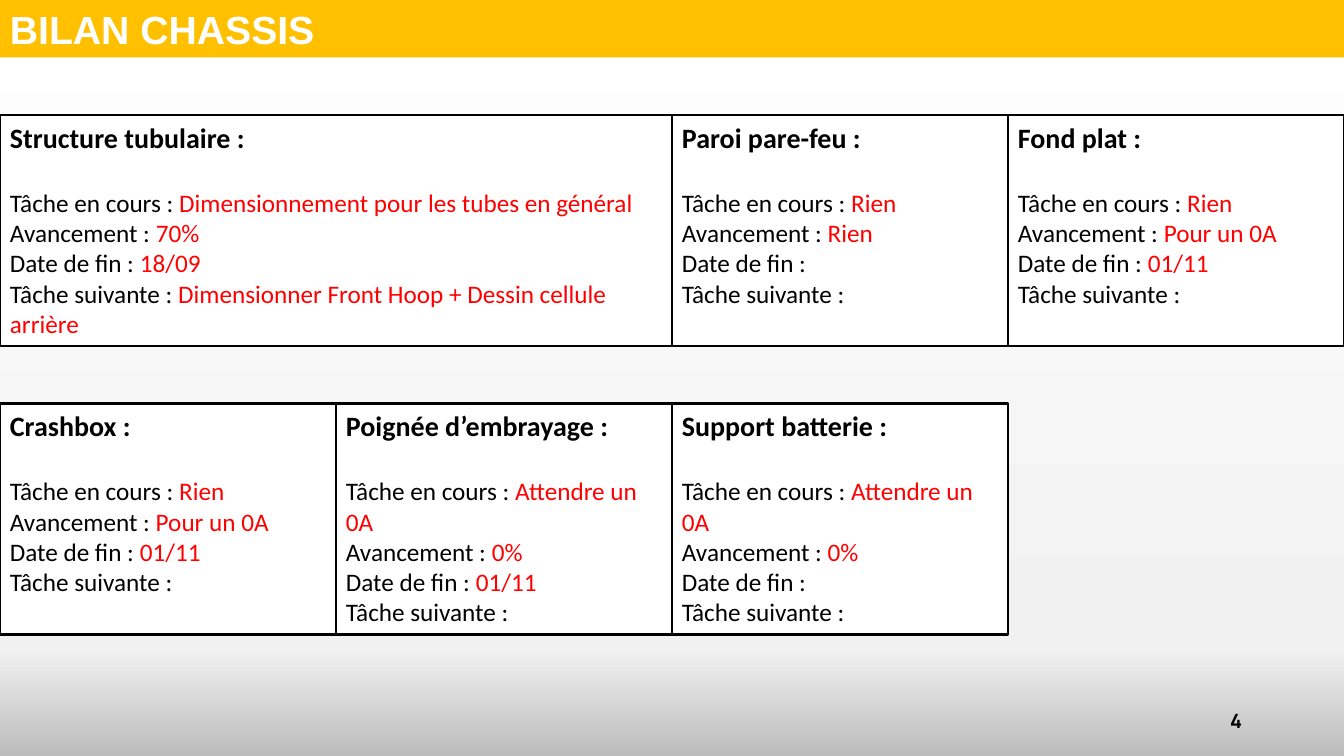
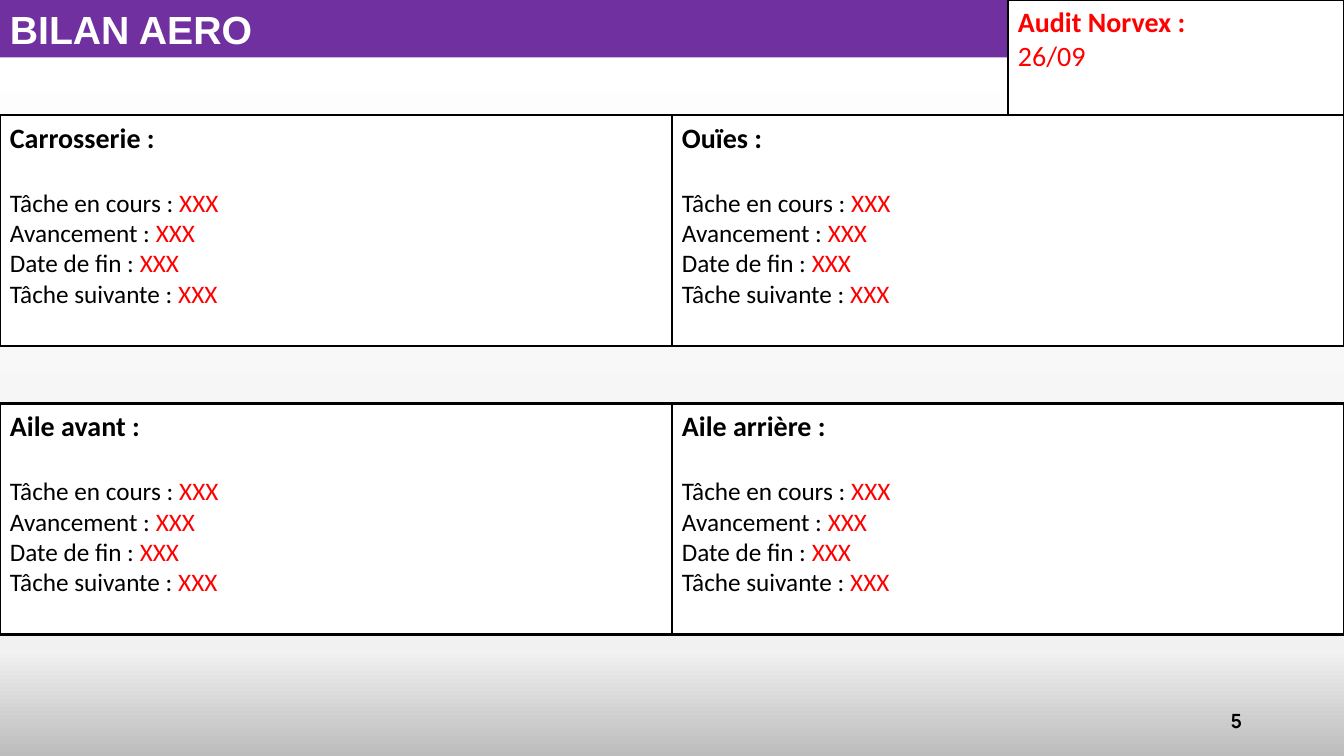
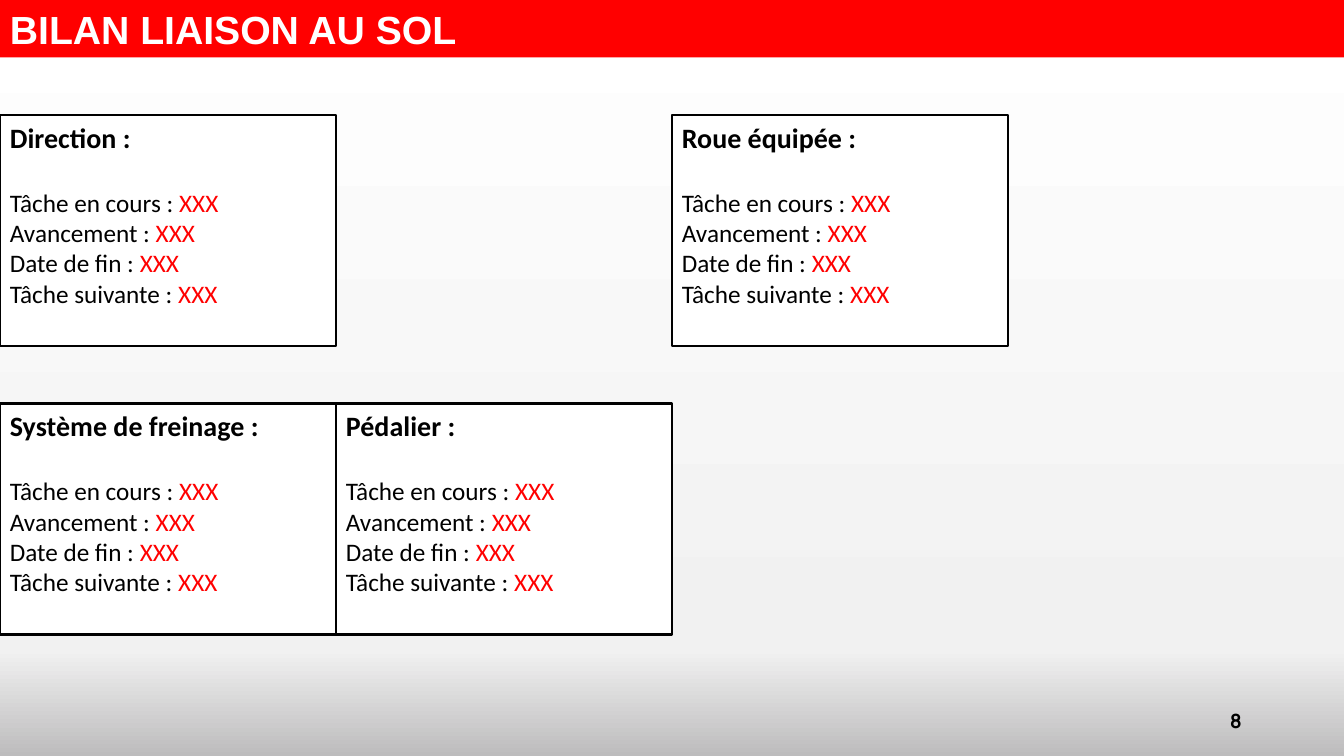
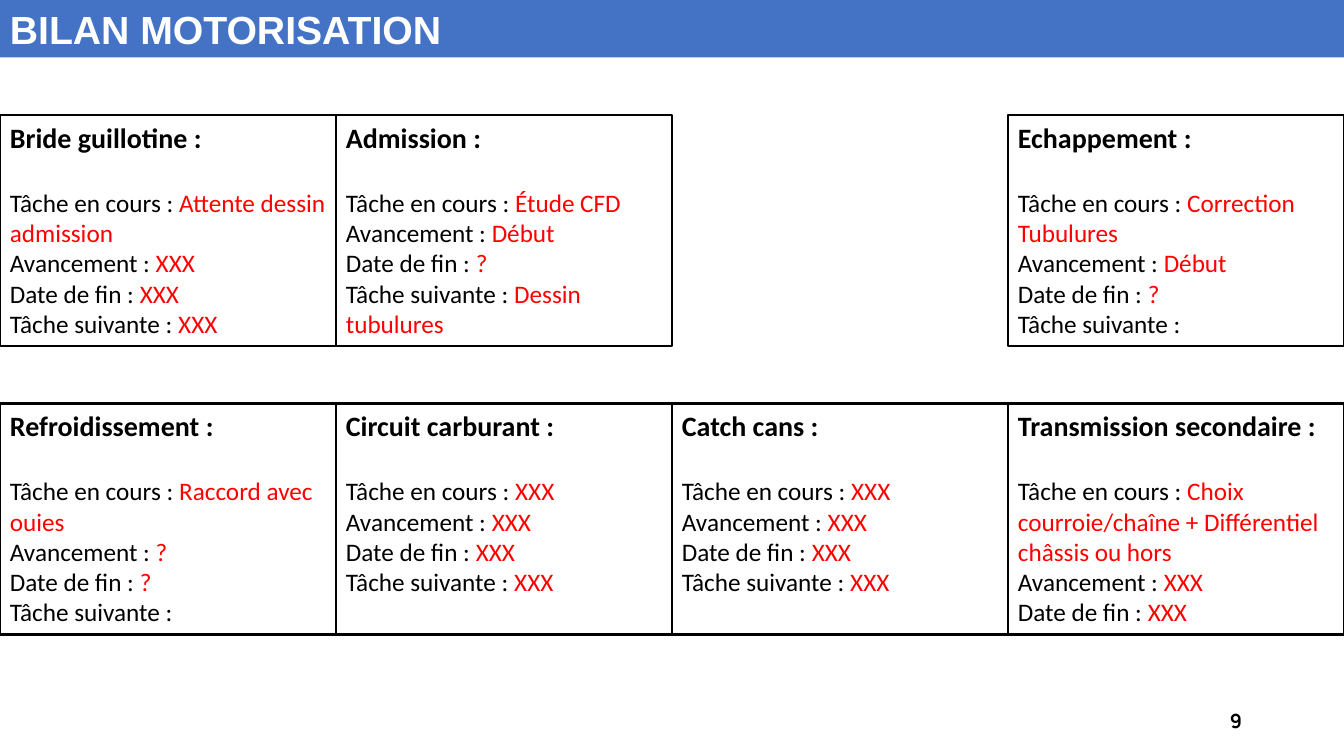
import copy
from dataclasses import dataclass

import pptx
import pptx.dml.color
import pptx.enum.shapes
import pptx.enum.text
import pptx.oxml.ns
import pptx.presentation
import pptx.shapes.autoshape
import pptx.slide
import pptx.text.text
import pptx.util

Cm = pptx.util.Cm
Pt = pptx.util.Pt


@dataclass(frozen=True)
class Theme:
    ink: str = "000000"
    paper: str = "FFFFFF"
    answer: str = "FF0000"
    chassis: str = "FFC000"
    aero: str = "7030A0"
    ground: str = "FF0000"
    engine: str = "4472C4"
    backdrop: tuple[tuple[float, str], ...] = ((0, "FFFFFF"), (0.86, "F1F1F1"), (1, "BDBCBD"))
    body_font: str = "Calibri"
    title_font: str = "Arial"
    number_font: str = "Manrope"
    title_size: int = 28
    heading_size: int = 20
    body_size: int = 18
    number_size: int = 14
    heading_gap: int = 24
    border: int = 2


@dataclass(frozen=True)
class Component:
    name: str
    row: int
    column: int
    answers: tuple[str, ...] = ("XXX",) * 4
    span: int = 1


@dataclass(frozen=True)
class Review:
    title: str
    color: str
    number: int
    components: tuple[Component, ...]
    shaded: bool = True
    audit: tuple[str, str] | None = None


THEME = Theme()
LABELS = ("Tâche en cours", "Avancement", "Date de fin", "Tâche suivante")
SLIDE_WIDTH = Cm(33.87)
SLIDE_HEIGHT = Cm(19.05)
COLUMN_WIDTH = SLIDE_WIDTH // 4
BAND_HEIGHT = Cm(1.45)
FIRST_ROW = Cm(2.9)
ROW_HEIGHT = Cm(5.82)
ROW_STEP = Cm(7.27)

REVIEWS = (
    Review("BILAN CHASSIS", THEME.chassis, 4, (
        Component("Structure tubulaire", 0, 0, (
            "Dimensionnement pour les tubes en général", "70%", "18/09",
            "Dimensionner Front Hoop + Dessin cellule arrière"), span=2),
        Component("Paroi pare-feu", 0, 2, ("Rien", "Rien", "", "")),
        Component("Fond plat", 0, 3, ("Rien", "Pour un 0A", "01/11", "")),
        Component("Crashbox", 1, 0, ("Rien", "Pour un 0A", "01/11", "")),
        Component("Poignée d’embrayage", 1, 1, ("Attendre un 0A", "0%", "01/11", "")),
        Component("Support batterie", 1, 2, ("Attendre un 0A", "0%", "", "")),
    )),
    Review("BILAN AERO", THEME.aero, 5, (
        Component("Carrosserie", 0, 0, span=2),
        Component("Ouïes", 0, 2, span=2),
        Component("Aile avant", 1, 0, span=2),
        Component("Aile arrière", 1, 2, span=2),
    ), audit=("Audit Norvex :", "26/09")),
    Review("BILAN LIAISON AU SOL", THEME.ground, 8, (
        Component("Direction", 0, 0),
        Component("Roue équipée", 0, 2),
        Component("Système de freinage", 1, 0),
        Component("Pédalier", 1, 1),
    )),
    Review("BILAN MOTORISATION", THEME.engine, 9, (
        Component("Bride guillotine", 0, 0, ("Attente dessin admission", "XXX", "XXX", "XXX")),
        Component("Admission", 0, 1, ("Étude CFD", "Début", "?", "Dessin tubulures")),
        Component("Echappement", 0, 3, ("Correction Tubulures", "Début", "?", "")),
        Component("Refroidissement", 1, 0, ("Raccord avec ouies", "?", "?", "")),
        Component("Circuit carburant", 1, 1),
        Component("Catch cans", 1, 2),
        Component("Transmission secondaire", 1, 3, (
            "Choix courroie/chaîne + Différentiel châssis ou hors", "XXX", "XXX")),
    ), shaded=False),
)


def rgb(value: str) -> pptx.dml.color.RGBColor:
    return pptx.dml.color.RGBColor.from_string(value)


def write(paragraph: pptx.text.text._Paragraph, text: str, *, size: int = THEME.body_size,
          color: str = THEME.ink, font: str = THEME.body_font, bold: bool = False) -> None:
    run = paragraph.add_run()
    run.text = text
    run.font.size = Pt(size)
    run.font.name = font
    run.font.bold = bold
    run.font.color.rgb = rgb(color)


def add_panel(slide: pptx.slide.Slide, left: int, top: int, width: int, height: int,
              fill: str = THEME.paper, border: str | None = THEME.ink) -> pptx.text.text.TextFrame:
    panel = slide.shapes.add_shape(
        pptx.enum.shapes.MSO_SHAPE.RECTANGLE, left, top, width, height)
    panel.shadow.inherit = False
    panel.fill.solid()
    panel.fill.fore_color.rgb = rgb(fill)
    if border:
        panel.line.color.rgb = rgb(border)
        panel.line.width = Pt(THEME.border)
    else:
        panel.line.fill.background()
    frame = panel.text_frame
    frame.word_wrap = True
    frame.vertical_anchor = pptx.enum.text.MSO_ANCHOR.TOP
    frame.paragraphs[0].alignment = pptx.enum.text.PP_ALIGN.LEFT
    return frame


def add_line(frame: pptx.text.text.TextFrame) -> pptx.text.text._Paragraph:
    line = frame.add_paragraph()
    line.alignment = pptx.enum.text.PP_ALIGN.LEFT
    return line


def add_component(slide: pptx.slide.Slide, component: Component) -> None:
    frame = add_panel(slide, component.column * COLUMN_WIDTH,
                      FIRST_ROW + component.row * ROW_STEP,
                      component.span * COLUMN_WIDTH, ROW_HEIGHT)
    heading = frame.paragraphs[0]
    heading.space_after = Pt(THEME.heading_gap)
    write(heading, f"{component.name} :", size=THEME.heading_size, bold=True)
    for label, answer in zip(LABELS, component.answers):
        line = add_line(frame)
        write(line, f"{label} : " if answer else f"{label} :")
        if answer:
            write(line, answer, color=THEME.answer)


def add_audit(slide: pptx.slide.Slide, name: str, date: str) -> None:
    frame = add_panel(slide, 3 * COLUMN_WIDTH, 0, COLUMN_WIDTH, FIRST_ROW)
    write(frame.paragraphs[0], name, size=THEME.heading_size, color=THEME.answer, bold=True)
    write(add_line(frame), date, size=THEME.heading_size, color=THEME.answer)


def add_number(slide: pptx.slide.Slide, number: int) -> None:
    frame = slide.shapes.add_textbox(Cm(23.93), Cm(17.65), Cm(7.62), Cm(1.02)).text_frame
    frame.word_wrap = True
    frame.vertical_anchor = pptx.enum.text.MSO_ANCHOR.MIDDLE
    frame.paragraphs[0].alignment = pptx.enum.text.PP_ALIGN.RIGHT
    write(frame.paragraphs[0], str(number), size=THEME.number_size,
          font=THEME.number_font, bold=True)


def add_title(slide: pptx.slide.Slide, title: str, color: str) -> None:
    frame = add_panel(slide, 0, 0, SLIDE_WIDTH, BAND_HEIGHT, fill=color, border=None)
    write(frame.paragraphs[0], title, size=THEME.title_size, color=THEME.paper,
          font=THEME.title_font, bold=True)


def paint_background(slide: pptx.slide.Slide, shaded: bool) -> None:
    fill = slide.background.fill
    if not shaded:
        fill.solid()
        fill.fore_color.rgb = rgb(THEME.paper)
        return
    fill.gradient()
    fill.gradient_angle = 270
    stop_list = slide.element.find(f".//{pptx.oxml.ns.qn('a:gsLst')}")
    stop_list.append(copy.deepcopy(stop_list[0]))
    for stop, (position, color) in zip(fill.gradient_stops, THEME.backdrop):
        stop.position = position
        stop.color.rgb = rgb(color)


def add_review(deck: pptx.presentation.Presentation, review: Review) -> None:
    slide = deck.slides.add_slide(deck.slide_layouts[6])
    paint_background(slide, review.shaded)
    for component in review.components:
        add_component(slide, component)
    add_number(slide, review.number)
    add_title(slide, review.title, review.color)
    if review.audit:
        add_audit(slide, *review.audit)


def main() -> None:
    deck = pptx.Presentation()
    deck.slide_width = SLIDE_WIDTH
    deck.slide_height = SLIDE_HEIGHT
    for review in REVIEWS:
        add_review(deck, review)
    deck.save("out.pptx")


if __name__ == "__main__":
    main()
